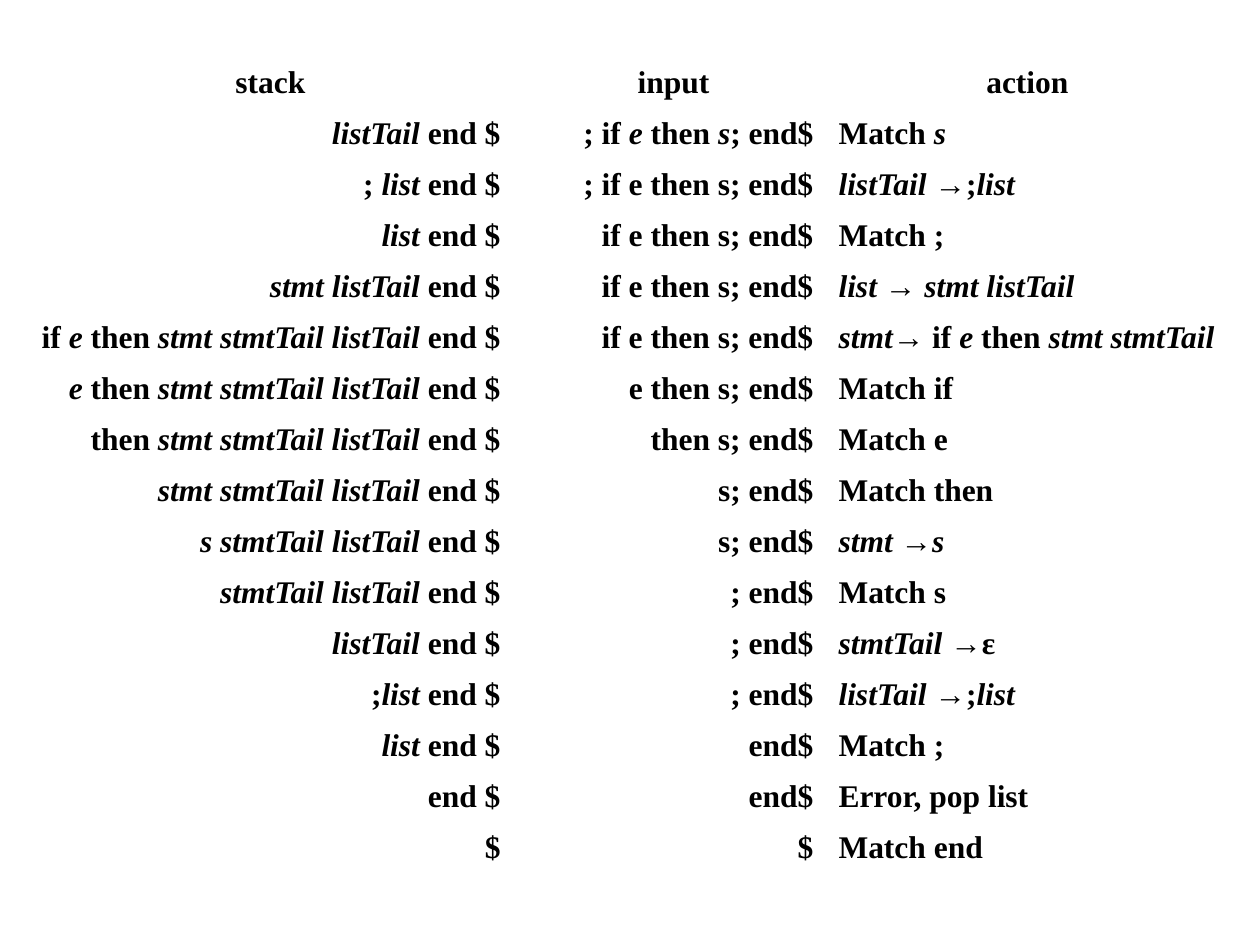
import itertools

import pptx
import pptx.dml.color
import pptx.enum.text
import pptx.oxml
import pptx.oxml.ns
import pptx.util

PX = pptx.util.Inches(1) / 126
COLORS = {"text": "000000", "border": "FFFFFF"}
TEXT_FONT, ARROW_FONT = "Times New Roman", "Arial"
ARROW = "→"
COLUMN_SHARES = (501, 305, 403)
THIN, THICK = 0.45, 1.47
ALIGN = pptx.enum.text.PP_ALIGN
COLUMN_ALIGNS = (ALIGN.RIGHT, ALIGN.RIGHT, ALIGN.LEFT)

HEADINGS = ("stack", "input", "action")
STEPS = (
    ("*listTail* end $ ", "; if *e* then *s*; end$", "Match *s*"),
    ("; *list* end $ ", "; if e then s; end$", "*listTail *→;*list*"),
    ("*list* end $ ", "if e then s; end$", "Match ;"),
    ("*stmt listTail* end $ ", "if e then s; end$", "*list *→ *stmt listTail*"),
    ("if *e* then *stmt stmtTail listTail* end $ ", "if e then s; end$",
     "*stmt*→ if *e* then *stmt stmtTail*"),
    ("*e* then *stmt stmtTail listTail* end $ ", "e then s; end$", "Match if"),
    ("then *stmt stmtTail listTail* end $ ", "then s; end$", "Match e"),
    ("*stmt stmtTail listTail* end $ ", "s; end$", "Match then"),
    ("*s stmtTail listTail* end $ ", "s; end$", "*stmt *→*s*"),
    ("*stmtTail listTail* end $ ", "; end$", "Match s"),
    ("*listTail* end $ ", "; end$", "*stmtTail *→ε"),
    (";*list *end $ ", "; end$", "*listTail *→;*list*"),
    ("*list *end $ ", "end$", "Match ;"),
    ("end $ ", "end$", "Error, pop list"),
    ("$ ", "$", "Match end"),
)


def px(length):
    """Turn a length in px into EMU."""
    return pptx.util.Emu(round(length * PX))


def write_text(para, marked, align):
    """Write text whose asterisks switch italics on and off."""
    para.alignment = align
    para.font.size = pptx.util.Pt(18)
    para.font.bold = True
    para.font.name = TEXT_FONT
    para.font.color.rgb = pptx.dml.color.RGBColor.from_string(COLORS["text"])
    for position, part in enumerate(marked.split("*")):
        for is_arrow, letters in itertools.groupby(part, lambda letter: letter == ARROW):
            span = para.add_run()
            span.text = "".join(letters)
            if position % 2:
                span.font.italic = True
            if is_arrow:
                span.font.name = ARROW_FONT


def set_borders(cell, top, bottom):
    """Draw the four borders of a cell and leave it unfilled."""
    properties = cell._tc.get_or_add_tcPr()
    for side, points in (("L", THIN), ("R", THIN), ("T", top), ("B", bottom)):
        properties.append(pptx.oxml.parse_xml(
            f'<a:ln{side} {pptx.oxml.ns.nsdecls("a")} w="{pptx.util.Pt(points)}">'
            f'<a:solidFill><a:srgbClr val="{COLORS["border"]}"/></a:solidFill></a:ln{side}>'))
    cell.fill.background()


def add_parse_table(page, left, top, width, height):
    """Place the table of parsing steps in the given box."""
    rows = (HEADINGS, *STEPS)
    frame = page.shapes.add_table(
        len(rows), len(HEADINGS), px(left), px(top), px(width), px(height))
    table = frame.table
    table.first_row = table.horz_banding = False
    for column, share in zip(table.columns, COLUMN_SHARES):
        column.width = px(width * share / sum(COLUMN_SHARES))
    for row_index, texts in enumerate(rows):
        table.rows[row_index].height = px(height / len(rows))
        is_heading = row_index == 0
        for column_index, text in enumerate(texts):
            cell = table.cell(row_index, column_index)
            align = ALIGN.CENTER if is_heading else COLUMN_ALIGNS[column_index]
            write_text(cell.text_frame.paragraphs[0], text, align)
            set_borders(cell, THICK if row_index == 1 else THIN, THICK if is_heading else THIN)


def main():
    """Build the deck and save it."""
    deck = pptx.Presentation()
    deck.slide_width, deck.slide_height = px(1260), px(945)
    page = deck.slides.add_slide(deck.slide_layouts[6])
    add_parse_table(page, 20, 59, 1209, 816)
    deck.save("out.pptx")


if __name__ == "__main__":
    main()
